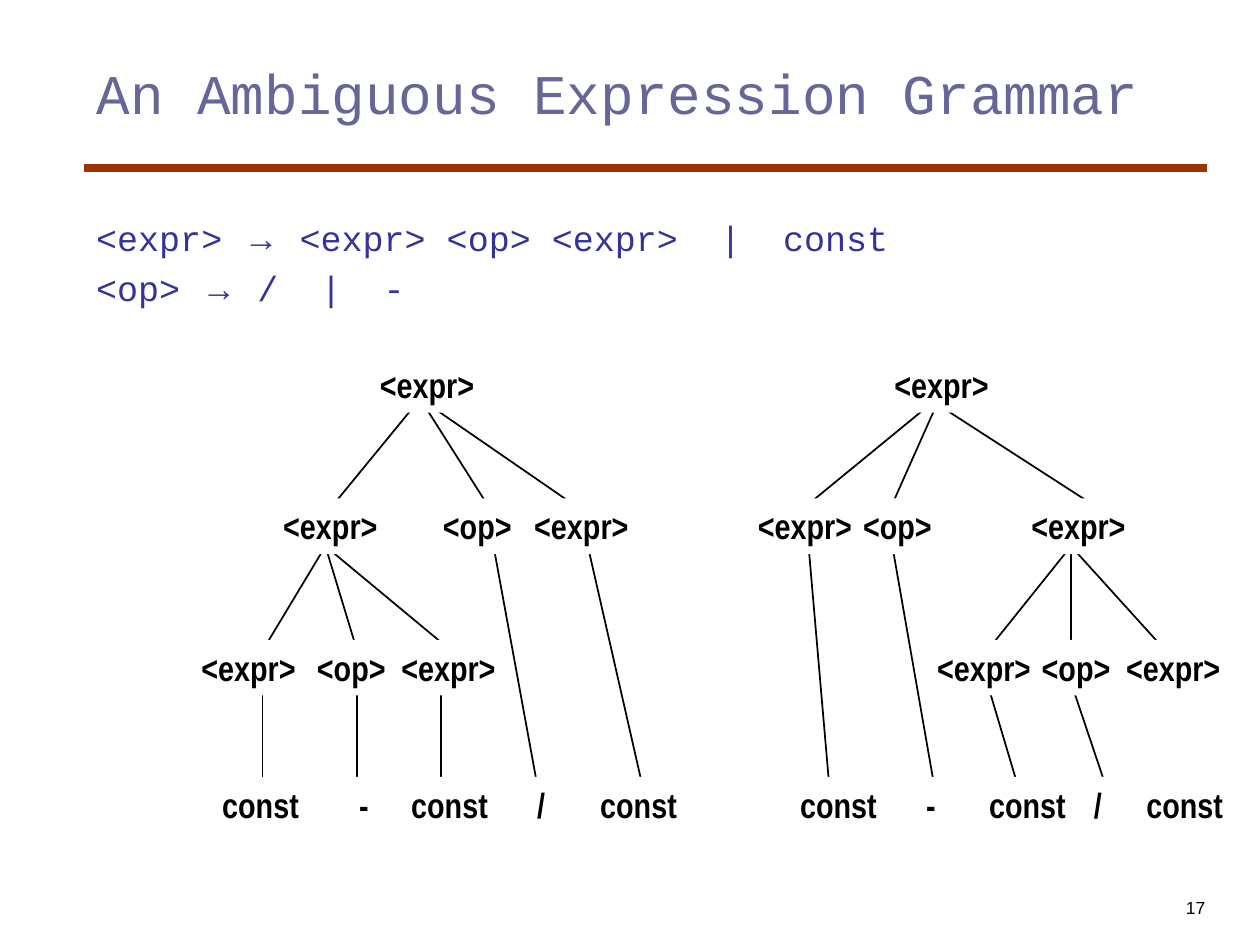
import pptx
import pptx.dml.color
import pptx.enum.shapes
import pptx.enum.text
import pptx.oxml
import pptx.util

Cm = pptx.util.Cm
ANCHOR = pptx.enum.text.MSO_ANCHOR
ALIGN = pptx.enum.text.PP_ALIGN

ROW_TOPS = (7.2, 10.05, 12.9, 15.66)
LABEL_HEIGHT = 1.12
LABEL_WIDTHS = {"<expr>": 2.41, "<op>": 1.88, "const": 2.06, "-": 0.69, "/": 0.66}

# Each row of a tree: (label, left)
LEFT_TREE = (
    (("<expr>", 7.41),),
    (("<expr>", 5.46), ("<op>", 8.68), ("<expr>", 10.52)),
    (("<expr>", 3.81), ("<op>", 6.14), ("<expr>", 7.84)),
    (("const", 4.23), ("-", 6.99), ("const", 8.04), ("/", 10.58), ("const", 11.85)),
)
RIGHT_TREE = (
    (("<expr>", 17.78),),
    (("<expr>", 15.03), ("<op>", 17.15), ("<expr>", 20.54)),
    (("<expr>", 18.64), ("<expr>", 22.45), ("<op>", 20.75)),
    (("const", 15.88), ("-", 18.42), ("const", 19.69), ("/", 21.8), ("const", 22.86)),
)

# Branches that share a top and a bottom: (top, bottom, ((upper x, lower x), ...))
LEFT_BRANCHES = (
    (8.04, 10.37, ((8.47, 6.56), (8.47, 11.85), (8.47, 9.95))),
    (11.01, 13.12, ((6.56, 5.29), (6.56, 9.1), (6.56, 7.2))),
    (13.76, 15.88, ((5.29, 5.29), (7.2, 7.2), (8.89, 8.89))),
    (11.01, 15.66, ((9.95, 10.8), (11.85, 12.91))),
)
RIGHT_BRANCHES = (
    (8.25, 10.16, ((18.63, 16.3), (19.05, 22.01), (18.84, 17.99))),
    (11.01, 13.12, ((21.59, 19.9), (21.59, 23.5), (21.59, 21.59))),
    (11.01, 15.88, ((16.3, 16.72), (17.99, 18.84))),
    (13.76, 15.88, ((19.9, 20.53),)),
    (13.76, 15.66, ((21.59, 22.23),)),
)


def rgb(color):
    return pptx.dml.color.RGBColor.from_string(color)


def add_run(p, text, size=20, font="Arial", color="000000", bold=False):
    r = p.add_run()
    r.text = text
    r.font.size = pptx.util.Pt(size)
    r.font.name = font
    r.font.color.rgb = rgb(color)
    r.font.bold = bold


def place(sp, left, top, width, height):
    sp.left, sp.top, sp.width, sp.height = map(Cm, (left, top, width, height))


def set_frame(tf, wrap=True, anchor=ANCHOR.TOP):
    tf.word_wrap = wrap
    tf.auto_size = pptx.enum.text.MSO_AUTO_SIZE.NONE
    tf.vertical_anchor = anchor


def add_text_box(s, left, top, width, height, **frame):
    tf = s.shapes.add_textbox(*map(Cm, (left, top, width, height))).text_frame
    set_frame(tf, **frame)
    return tf


def add_line(s, x1, y1, x2, y2, color="000000", width=1):
    line = s.shapes.add_connector(
        pptx.enum.shapes.MSO_CONNECTOR.STRAIGHT, *map(Cm, (x1, y1, x2, y2)))
    line.line.color.rgb = rgb(color)
    line.line.width = pptx.util.Pt(width)
    line._element.spPr.append(pptx.oxml.parse_xml(
        '<a:effectLst xmlns:a="http://schemas.openxmlformats.org/drawingml/2006/main"/>'))


def add_title(s, text):
    title = s.shapes.title
    place(title, 1.69, 1.06, 22.65, 3.18)
    set_frame(title.text_frame)
    p = title.text_frame.paragraphs[0]
    p.alignment = ALIGN.LEFT
    add_run(p, text, size=32, font="Courier New", color="666699")


def add_grammar(s, rules):
    tf = add_text_box(s, 1.69, 4.23, 20.75, 3)
    for i, (symbol, production) in enumerate(rules):
        p = tf.add_paragraph() if i else tf.paragraphs[0]
        p.space_before = pptx.util.Pt(5 if i else 0)
        for text, font in ((symbol + " ", "Courier New"), ("→", "Arial"),
                           (" " + production, "Courier New")):
            add_run(p, text, font=font, color="333399")


def add_label(s, text, left, top):
    sp = s.shapes.add_shape(
        pptx.enum.shapes.MSO_SHAPE.RECTANGLE,
        *map(Cm, (left, top, LABEL_WIDTHS[text], LABEL_HEIGHT)))
    sp.shadow.inherit = False
    sp.fill.solid()
    sp.fill.fore_color.rgb = rgb("FFFFFF")
    sp.line.fill.background()
    set_frame(sp.text_frame, wrap=False)
    p = sp.text_frame.paragraphs[0]
    p.alignment = ALIGN.LEFT
    add_run(p, text, font="Arial Narrow", bold=True)


def add_tree(s, rows, branches):
    """Draw the branches first so that the white labels cover their ends."""
    for top, bottom, ends in branches:
        for upper, lower in ends:
            add_line(s, upper, top, lower, bottom)
    for top, row in zip(ROW_TOPS, rows):
        for text, left in row:
            add_label(s, text, left, top)


def add_page_number(s, number):
    tf = add_text_box(s, 19.26, 17.36, 5.29, 1.27, anchor=ANCHOR.BOTTOM)
    p = tf.paragraphs[0]
    p.alignment = ALIGN.RIGHT
    add_run(p, number, size=10)


def main():
    prs = pptx.Presentation()
    prs.slide_width, prs.slide_height = Cm(25.4), Cm(19.05)
    s = prs.slides.add_slide(prs.slide_layouts[5])
    add_line(s, 1.69, 3.39, 24.34, 3.39, color="993300", width=4.5)
    add_title(s, "An Ambiguous Expression Grammar")
    add_grammar(s, (("<expr>", "<expr> <op> <expr>  |  const"), ("<op>", "/  |  -")))
    add_tree(s, LEFT_TREE, LEFT_BRANCHES)
    add_tree(s, RIGHT_TREE, RIGHT_BRANCHES)
    add_page_number(s, "17")
    prs.save("out.pptx")


if __name__ == "__main__":
    main()
